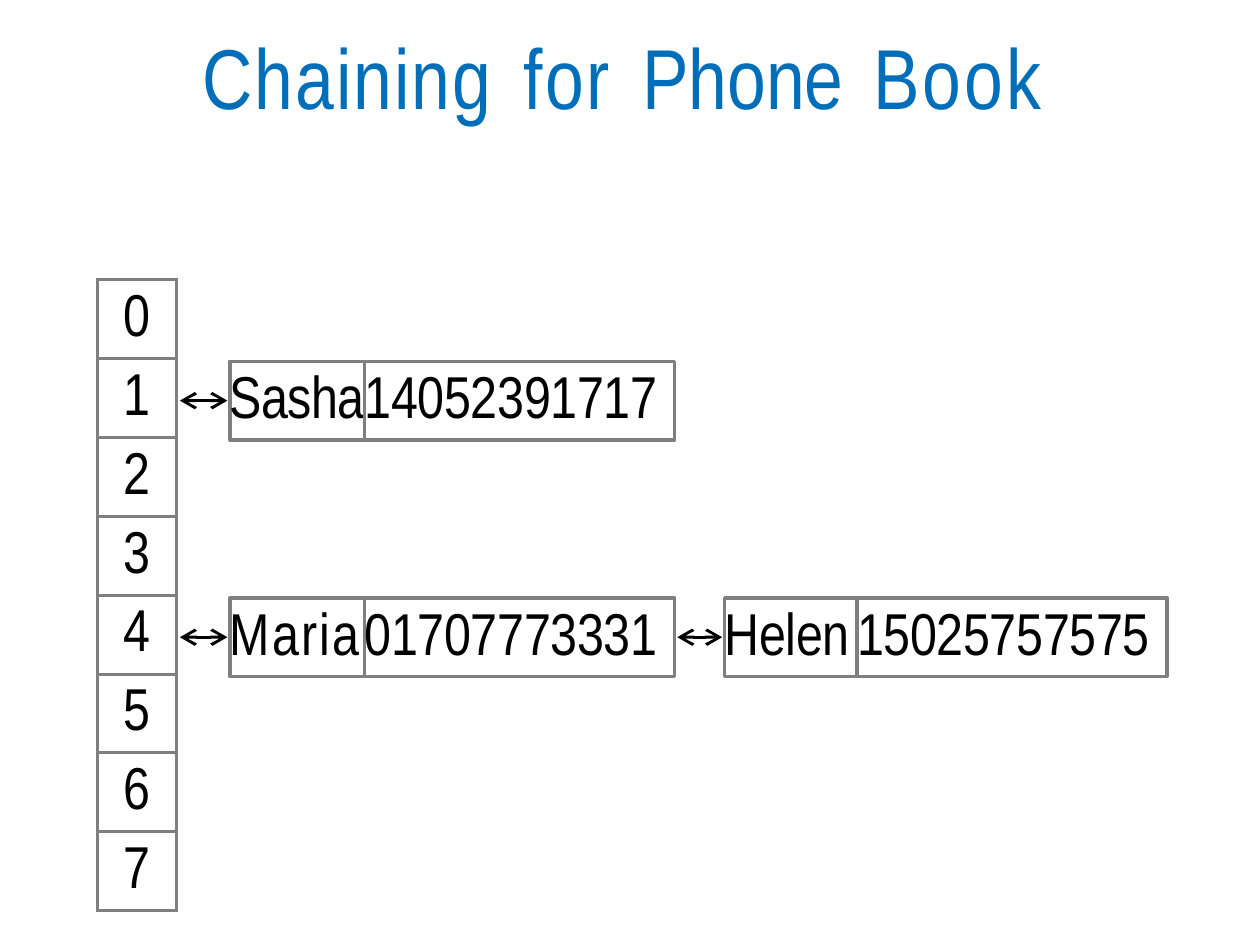
from lxml import etree
from pptx import Presentation, util as u
from pptx.dml.color import RGBColor
from pptx.enum import shapes, text
from pptx.oxml import ns

COLORS = {"title": "006EB8", "text": "000000", "border": "7F7F7F", "back": "FFFFFF"}
WIDTH, HEIGHT = u.Pt(363), u.Pt(272.5)
ROW = HEIGHT.inches / 12
TABLE_LEFT, TABLE_TOP = 0.39, 1.12
NUMBER_WIDTH = 1.24
BODY = {"size": u.Pt(17), "name": "Arial Narrow"}
TITLE = {"size": u.Pt(24.5), "name": "Arial Narrow"}
NO_MARGINS = {"margin_left": 0, "margin_top": 0, "margin_right": 0, "margin_bottom": 0}
BODY_PARAGRAPH = {"alignment": text.PP_ALIGN.LEFT, "line_spacing": u.Pt(19.9)}


def write_runs(paragraph, runs, font, color, layout):
    """Add (wording, letter spacing in points) runs to a formatted paragraph."""
    for name, value in layout.items():
        setattr(paragraph, name, value)
    for wording, spacing in runs:
        run = paragraph.add_run()
        run.text = wording
        for name, value in font.items():
            setattr(run.font, name, value)
        run.font.color.rgb = RGBColor.from_string(COLORS[color])
        run.font._element.set("spc", str(round(spacing * 100)))


def add_child(parent, tag, **attributes):
    """Append a DrawingML element and return it."""
    return etree.SubElement(parent, ns.qn(tag), attributes)


presentation = Presentation()
presentation.slide_width, presentation.slide_height = WIDTH, HEIGHT
slide = presentation.slides.add_slide(presentation.slide_layouts[6])
slide.background.fill.solid()
slide.background.fill.fore_color.rgb = RGBColor.from_string(COLORS["back"])

# Title, with wider gaps between the words
title = slide.shapes.add_textbox(*map(u.Inches, (0.22, 0.08, 4.6, 0.44)))
title_frame = {**NO_MARGINS, "margin_left": u.Inches(0.59),
               "margin_top": u.Inches(0.02), "word_wrap": True}
for name, value in title_frame.items():
    setattr(title.text_frame, name, value)
title_runs = [("Chaining", 0.6), (" ", 2.9), ("for", 0.8), (" ", 2.9),
              ("Phone", 0), (" ", 2.9), ("Book", 0.9)]
write_runs(title.text_frame.paragraphs[0], title_runs, TITLE, "title",
           {"space_before": u.Pt(1.2)})

# Hash table slots
table = slide.shapes.add_table(
    8, 1, *map(u.Inches, (TABLE_LEFT, TABLE_TOP, ROW, 8 * ROW))).table
table.first_row = table.horz_banding = False
for slot in range(8):
    cell = table.cell(slot, 0)
    for name, value in NO_MARGINS.items():
        setattr(cell, name, value)
    write_runs(cell.text_frame.paragraphs[0], [(str(slot), 0)], BODY, "text",
               {**BODY_PARAGRAPH, "alignment": text.PP_ALIGN.CENTER})
    properties = cell._tc.get_or_add_tcPr()
    for side in ("a:lnL", "a:lnR", "a:lnT", "a:lnB"):
        border = add_child(properties, side, w=str(u.Pt(1)))
        add_child(add_child(border, "a:solidFill"), "a:srgbClr", val=COLORS["border"])
    cell.fill.background()

# Chain entries: slot, left, name width, name, its letter spacing, number, arrow start
entries = [
    (1, 0.92, 0.54, "Sasha", -0.2, "14052391717", 0.72),
    (4, 0.92, 0.54, "Maria", 0.6, "01707773331", 0.72),
    (4, 2.9, 0.53, "Helen", -0.1, "15025757575", 2.71),
]
for slot, left, name_width, person, spacing, number, arrow_start in entries:
    top = TABLE_TOP + slot * ROW + 0.01
    boxes = [(left, name_width, person, spacing),
             (left + name_width, NUMBER_WIDTH, number, -0.1)]
    for box_left, box_width, wording, box_spacing in boxes:
        box = slide.shapes.add_shape(shapes.MSO_SHAPE.RECTANGLE,
                                     *map(u.Inches, (box_left, top, box_width, ROW)))
        box.shadow.inherit = False
        box.fill.background()
        box.line.color.rgb = RGBColor.from_string(COLORS["border"])
        box.line.width = u.Pt(1)
        frame_format = {**NO_MARGINS, "word_wrap": True,
                        "vertical_anchor": text.MSO_ANCHOR.TOP}
        for name, value in frame_format.items():
            setattr(box.text_frame, name, value)
        write_runs(box.text_frame.paragraphs[0], [(wording, box_spacing)], BODY,
                   "text", BODY_PARAGRAPH)

    middle = top + ROW / 2
    arrow = slide.shapes.add_connector(
        shapes.MSO_CONNECTOR.STRAIGHT,
        *map(u.Inches, (arrow_start, middle, left - 0.01, middle)))
    arrow.line.color.rgb = RGBColor.from_string(COLORS["text"])
    arrow.line.width = u.Pt(0.85)
    for end in ("a:headEnd", "a:tailEnd"):
        add_child(arrow.line._get_or_add_ln(), end, type="arrow", w="sm", len="sm")
    add_child(arrow._element.spPr, "a:effectLst")

presentation.save("out.pptx")
